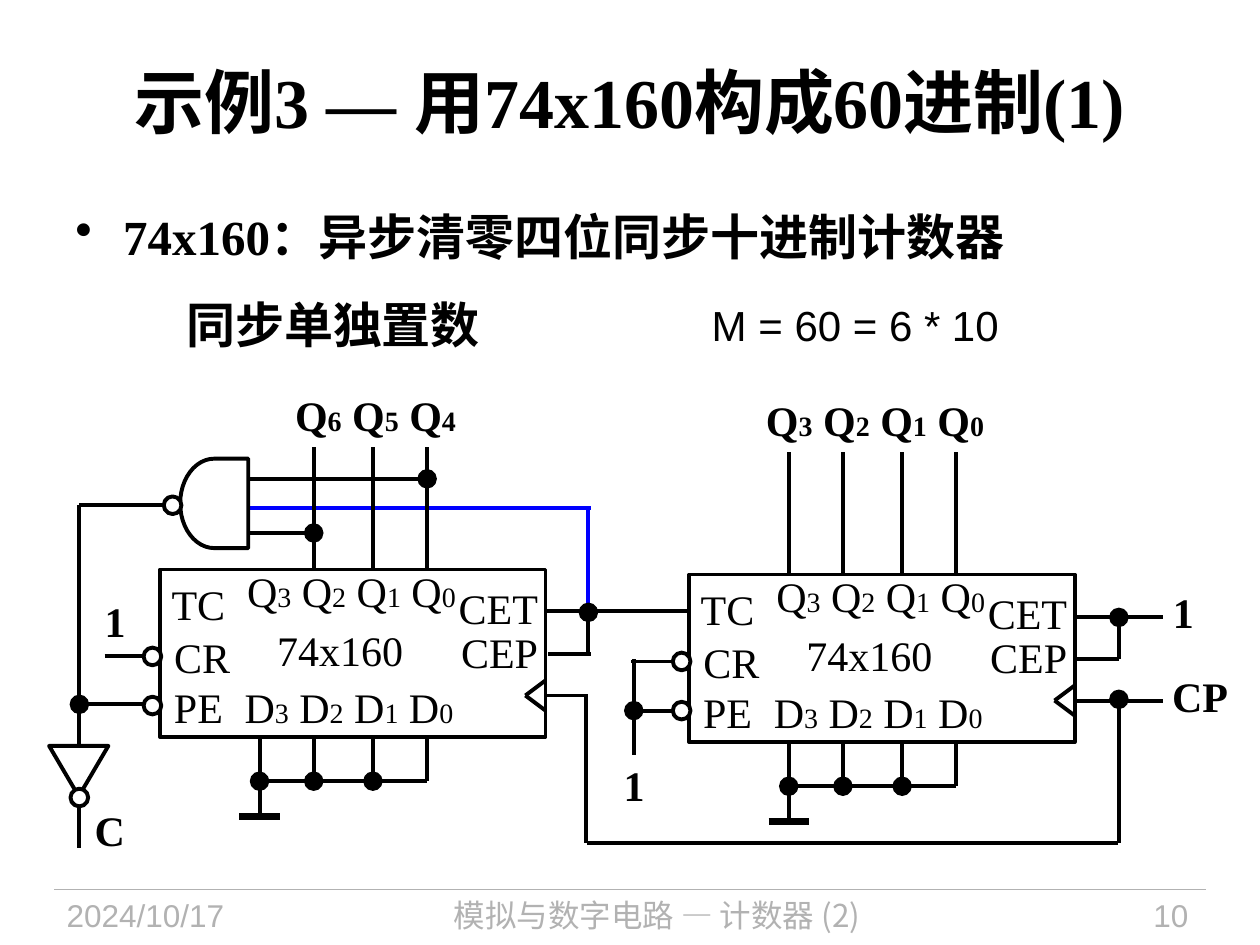
from itertools import groupby

from lxml import etree
from pptx import Presentation
from pptx.dml.color import RGBColor
from pptx.enum.shapes import MSO_CONNECTOR, MSO_SHAPE
from pptx.enum.text import MSO_ANCHOR as ANCHOR, PP_ALIGN as ALIGN
from pptx.oxml.ns import qn
from pptx.util import Inches, Pt

BLACK = RGBColor(0x00, 0x00, 0x00)
WHITE = RGBColor(0xFF, 0xFF, 0xFF)
BLUE = RGBColor(0x00, 0x00, 0xFF)
GRAY = RGBColor(0xB2, 0xB2, 0xB2)
SERIF = "Times New Roman"
SANS = "Arial"
CHINESE = "Noto Sans CJK SC"

# Pin columns, measured from the left edge of a counter
PIN_COLUMNS = (0.79, 1.22, 1.69, 2.12)
CHIP_WIDTH, CHIP_HEIGHT = 3.06, 1.33


def add_wire(slide, start, end, color=BLACK, width=2.25, dot=None):
    """Straight wire; dot is 'headEnd' or 'tailEnd' for a junction."""
    points = [Inches(value) for value in (*start, *end)]
    wire = slide.shapes.add_connector(MSO_CONNECTOR.STRAIGHT, *points)
    wire.line.color.rgb = color
    wire.line.width = Pt(width)
    if dot:
        line = wire.line._get_or_add_ln()
        etree.SubElement(line, qn("a:" + dot), type="oval", w="lg", len="lg")
    etree.SubElement(wire._element.spPr, qn("a:effectLst"))


def add_symbol(slide, kind, left, top, width, height, fill=WHITE, rotation=0):
    shape = slide.shapes.add_shape(
        kind, Inches(left), Inches(top), Inches(width), Inches(height))
    shape.shadow.inherit = False
    shape.rotation = rotation
    if fill is None:
        shape.fill.background()
    else:
        shape.fill.solid()
        shape.fill.fore_color.rgb = fill
    shape.line.color.rgb = BLACK
    shape.line.width = Pt(2.25)


def add_bubble(slide, left, top):
    add_symbol(slide, MSO_SHAPE.OVAL, left, top, 0.14, 0.14)


def format_run(run, size, font, color, bold):
    run.font.size = Pt(size)
    run.font.name = font
    run.font.color.rgb = color
    run.font.bold = bold
    east_asian = etree.SubElement(run._r.get_or_add_rPr(), qn("a:ea"))
    east_asian.set("typeface", CHINESE)


def add_text(slide, text, left, top, width, height, size=24, font=SERIF, color=BLACK,
             bold=False, align=ALIGN.CENTER, anchor=ANCHOR.TOP, wrap=False):
    box = slide.shapes.add_textbox(
        Inches(left), Inches(top), Inches(width), Inches(height))
    frame = box.text_frame
    frame.word_wrap = wrap
    frame.vertical_anchor = anchor
    frame.text = text
    paragraph = frame.paragraphs[0]
    paragraph.alignment = align
    format_run(paragraph.runs[0], size, font, color, bold)
    return frame


def add_pin(slide, text, left, top, width):
    add_text(slide, text, left, top, width, 0.5, anchor=ANCHOR.MIDDLE)


def add_pin_row(slide, text, left, top, width, bold=False):
    """Pin names with their numbers set smaller."""
    frame = add_text(slide, "", left, top, width, 0.5, anchor=ANCHOR.MIDDLE) \
        if not text else None
    box = slide.shapes.add_textbox(
        Inches(left), Inches(top), Inches(width), Inches(0.5))
    frame = box.text_frame
    frame.word_wrap = False
    frame.vertical_anchor = ANCHOR.MIDDLE
    paragraph = frame.paragraphs[0]
    paragraph.alignment = ALIGN.CENTER
    for is_number, letters in groupby(text, str.isdigit):
        run = paragraph.add_run()
        run.text = "".join(letters)
        format_run(run, 16 if is_number else 24, SERIF, BLACK, bold)


def add_signal(slide, text, left, top, width):
    """Bold name of an outside signal, without margins."""
    frame = add_text(slide, text, left, top, width, 0.36, bold=True)
    frame.margin_left = frame.margin_right = 0
    frame.margin_top = frame.margin_bottom = 0
    frame.paragraphs[0].line_spacing = 0.9


def add_counter(slide, left, top, outputs):
    """A 74x160 with grounded data inputs and its output wires."""
    right, bottom = left + CHIP_WIDTH, top + CHIP_HEIGHT
    columns = [left + column for column in PIN_COLUMNS]
    add_symbol(slide, MSO_SHAPE.RECTANGLE, left, top, CHIP_WIDTH, CHIP_HEIGHT, fill=None)

    # Pin names
    for text, x, y, width in (
            ("TC", -0.01, 0.02, 0.63), ("CR", 0.01, 0.44, 0.65), ("PE", 0.01, 0.84, 0.59),
            ("CET", 2.27, 0.05, 0.83), ("CEP", 2.29, 0.4, 0.81), ("74x160", 0.83, 0.39, 1.2)):
        add_pin(slide, text, left + x, top + y, width)
    add_pin_row(slide, "Q3 Q2 Q1 Q0", left + 0.59, top - 0.08, 1.86)
    add_pin_row(slide, "D3 D2 D1 D0", left + 0.57, top + 0.84, 1.86)

    # Inverting inputs and clock edge
    for y in (0.62, 1.01):
        add_bubble(slide, left - 0.13, top + y)
    for y in (0.88, 1.12):
        add_wire(slide, (right, top + y), (right - 0.16, top + 1))

    # Output wires
    for x in columns[-outputs:]:
        add_wire(slide, (x, top), (x, top - 0.97))

    # Data inputs tied to ground
    rail = bottom + 0.35
    ground = bottom + 0.63
    add_wire(slide, (columns[0], bottom), (columns[0], ground))
    for x in columns[1:]:
        add_wire(slide, (x, rail), (x, bottom), dot=None if x == columns[-1] else "headEnd")
    add_wire(slide, (columns[0], rail), (columns[-1], rail), dot="headEnd")
    add_wire(slide, (columns[0] - 0.16, ground), (columns[0] + 0.16, ground), width=4.5)


def add_headings(slide):
    add_text(slide, "示例3 — 用74x160构成60进制(1)", 0.5, 0.17, 9, 1.25,
             size=40, bold=True, anchor=ANCHOR.MIDDLE)
    frame = add_text(slide, "74x160：异步清零四位同步十进制计数器", 0.5, 1.59, 9, 0.85,
                     size=28, bold=True, align=ALIGN.LEFT, wrap=True)
    properties = frame.paragraphs[0]._p.get_or_add_pPr()
    properties.set("marL", str(Inches(0.38)))
    properties.set("indent", str(Inches(-0.38)))
    etree.SubElement(properties, qn("a:buChar"), char="•")
    add_text(slide, "同步单独置数", 1.38, 2.29, 2.55, 0.57,
             size=28, font=SANS, bold=True, align=ALIGN.LEFT)
    add_text(slide, "M = 60 = 6 * 10", 5.55, 2.33, 2.48, 0.5, font=SANS, align=ALIGN.LEFT)


def add_footer(slide):
    add_wire(slide, (0.43, 7.06), (9.57, 7.06), color=GRAY, width=0.75)
    for text, left, width, font, align in (
            ("2024/10/17", 0.43, 1.88, SANS, ALIGN.LEFT),
            ("模拟与数字电路 — 计数器 (2)", 2.4, 5.63, CHINESE, ALIGN.CENTER),
            ("10", 8.2, 1.33, SANS, ALIGN.RIGHT)):
        add_text(slide, text, left, 7.06, width, 0.44, size=18, font=font,
                 color=GRAY, align=align, wrap=True)


def add_wiring(slide):
    # Carry from the low counter, also fed back to the gate
    add_wire(slide, (4.67, 4.03), (4.67, 4.85), color=BLUE)
    add_wire(slide, (1.97, 4.03), (4.69, 4.03), color=BLUE)
    for start, end, dot in (
            ((4.33, 4.85), (5.47, 4.85), None),
            ((4.35, 5.19), (4.69, 5.19), None),
            ((4.67, 5.19), (4.67, 4.86), "tailEnd"),
            # Clock line
            ((4.33, 5.52), (4.66, 5.52), None),
            ((4.65, 6.69), (4.65, 5.51), None),
            ((4.66, 6.69), (8.87, 6.69), None),
            ((8.88, 6.69), (8.88, 5.55), "tailEnd"),
            ((8.54, 5.56), (9.23, 5.56), None),
            # Enables of the low counter
            ((8.54, 4.9), (9.23, 4.9), None),
            ((8.54, 5.23), (8.88, 5.23), None),
            ((8.88, 5.23), (8.88, 4.9), "tailEnd"),
            # Clear and load inputs
            ((5.03, 5.64), (5.46, 5.64), "headEnd"),
            ((5.01, 5.25), (5.46, 5.25), None),
            ((5.03, 5.99), (5.03, 5.23), None),
            ((0.83, 5.21), (1.14, 5.21), None),
            ((0.63, 5.59), (1.14, 5.59), None),
            # Gate inputs and output
            ((1.97, 3.8), (3.39, 3.8), "tailEnd"),
            ((1.97, 4.23), (2.49, 4.23), "tailEnd"),
            ((0.63, 4.01), (1.3, 4.01), None),
            ((0.63, 5.58), (0.63, 4.01), None),
            ((0.63, 6.73), (0.63, 5.59), "tailEnd")):
        add_wire(slide, start, end, dot=dot)


def main():
    presentation = Presentation()
    presentation.slide_width = Inches(10)
    presentation.slide_height = Inches(7.5)
    slide = presentation.slides.add_slide(presentation.slide_layouts[6])

    add_footer(slide)
    add_headings(slide)
    add_wiring(slide)
    add_counter(slide, 1.27, 4.52, outputs=3)
    add_counter(slide, 5.47, 4.56, outputs=4)

    # NAND gate and output inverter
    add_symbol(slide, MSO_SHAPE.FLOWCHART_DELAY, 1.43, 3.64, 0.54, 0.71, rotation=180)
    add_bubble(slide, 1.3, 3.94)
    add_symbol(slide, MSO_SHAPE.FLOWCHART_MERGE, 0.39, 5.92, 0.47, 0.4)
    add_bubble(slide, 0.56, 6.26)

    # Outside signals
    add_pin_row(slide, "Q6 Q5 Q4", 2.24, 3.04, 1.48, bold=True)
    add_pin_row(slide, "Q3 Q2 Q1 Q0", 5.98, 3.08, 1.93, bold=True)
    for text, left, top, width in (
            ("1", 0.83, 4.77, 0.16), ("1", 9.31, 4.7, 0.16), ("1", 4.95, 6.07, 0.16),
            ("CP", 9.23, 5.37, 0.59), ("C", 0.75, 6.43, 0.24)):
        add_signal(slide, text, left, top, width)

    presentation.save("out.pptx")


if __name__ == "__main__":
    main()
